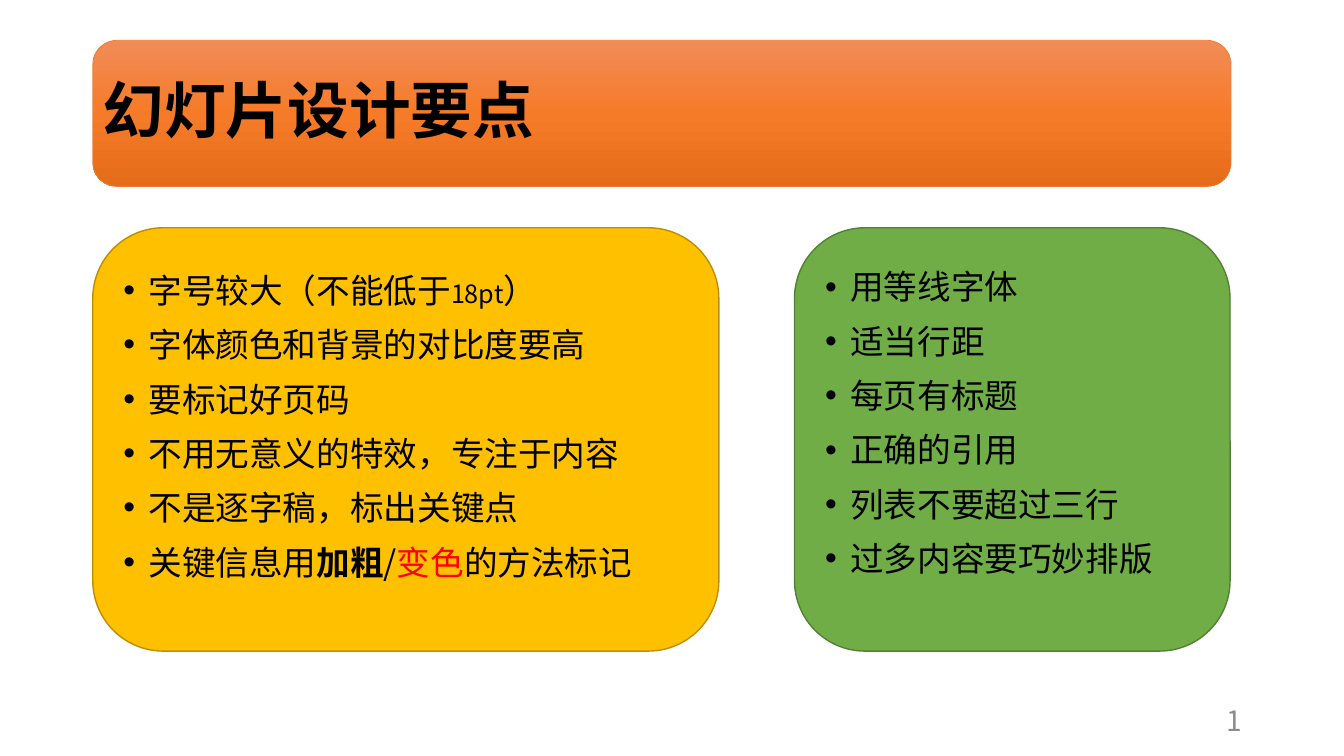
"""Build a slide of presentation design tips: a title banner and two bulleted cards."""
import copy
from dataclasses import dataclass

import pptx
import pptx.dml.color
import pptx.enum.shapes
import pptx.enum.text
import pptx.oxml
import pptx.oxml.ns
import pptx.util

Inches = pptx.util.Inches
Pt = pptx.util.Pt
Align = pptx.enum.text.PP_ALIGN
qn = pptx.oxml.ns.qn


@dataclass(frozen=True)
class Theme:
    font: str = "Noto Sans CJK SC"
    ink: str = "000000"
    accent: str = "FF0000"
    muted: str = "8C8C8C"
    banner: tuple = ("F18C57", "F67B28", "E56C19")
    banner_line: str = "ED7D31"
    amber: tuple = ("FFC000", "BD8E00")
    green: tuple = ("70AD47", "538035")
    title: int = 44
    body: int = 24
    small: int = 18
    number: int = 20
    body_line: float = 28.8
    body_gap: int = 10


def rgb(value):
    return pptx.dml.color.RGBColor.from_string(value)


def add_span(para, text, *, font, size, color, bold=False):
    span = para.add_run()
    span.text = text
    span.font.name = font
    span.font.size = Pt(size)
    span.font.bold = bold
    span.font.color.rgb = rgb(color)
    latin = span.font._element.find(qn("a:latin"))
    east_asian = pptx.oxml.parse_xml(f'<a:ea {pptx.oxml.ns.nsdecls("a")} typeface="{font}"/>')
    latin.addnext(east_asian)


class SlideBuilder:
    def __init__(self, theme, page):
        self.theme = theme
        self.page = page

    def panel(self, left, top, width, height, line, line_width):
        kind = pptx.enum.shapes.MSO_SHAPE.ROUNDED_RECTANGLE
        box = self.page.shapes.add_shape(
            kind, Inches(left), Inches(top), Inches(width), Inches(height))
        box.shadow.inherit = False
        box.line.color.rgb = rgb(line)
        box.line.width = Pt(line_width)
        return box

    def banner(self, left, top, width, height):
        box = self.panel(left, top, width, height, self.theme.banner_line, 0.5)
        box.fill.gradient()
        stops = box._element.spPr.find(qn("a:gradFill")).find(qn("a:gsLst"))
        stops.append(copy.deepcopy(stops[0]))
        box.fill.gradient_angle = 270
        for index, stop in enumerate(box.fill.gradient_stops):
            stop.color.rgb = rgb(self.theme.banner[index])
            stop.position = index / 2

    def label(self, text, left, top, width, height, *, size, color, align, bold=False, spacing=1.0):
        box = self.page.shapes.add_textbox(
            Inches(left), Inches(top), Inches(width), Inches(height))
        frame = box.text_frame
        frame.word_wrap = True
        frame.vertical_anchor = pptx.enum.text.MSO_ANCHOR.MIDDLE
        para = frame.paragraphs[0]
        para.alignment = align
        para.line_spacing = spacing
        add_span(para, text, font=self.theme.font, size=size, color=color, bold=bold)

    def card(self, rows, left, top, width, height, colors, bottom_inset):
        fill, line = colors
        box = self.panel(left, top, width, height, line, 1)
        box.fill.solid()
        box.fill.fore_color.rgb = rgb(fill)
        frame = box.text_frame
        frame.word_wrap = True
        frame.vertical_anchor = pptx.enum.text.MSO_ANCHOR.MIDDLE
        frame.margin_left = frame.margin_right = frame.margin_top = Inches(0.1)
        frame.margin_bottom = Inches(bottom_inset)
        for index, row in enumerate(rows):
            para = frame.add_paragraph() if index else frame.paragraphs[0]
            self.bullet(para, row)

    def bullet(self, para, row):
        para.alignment = Align.JUSTIFY
        para.line_spacing = Pt(self.theme.body_line)
        para.space_before = Pt(self.theme.body_gap)
        properties = para._p.get_or_add_pPr()
        properties.set("marL", str(Inches(0.25)))
        properties.set("indent", str(-Inches(0.25)))
        for tag in ('buFont typeface="Arial"', 'buChar char="•"'):
            properties.append(pptx.oxml.parse_xml(f'<a:{tag} {pptx.oxml.ns.nsdecls("a")}/>'))
        base = {"font": self.theme.font, "size": self.theme.body, "color": self.theme.ink}
        for text, changes in [(row, {})] if isinstance(row, str) else row:
            add_span(para, text, **{**base, **changes})


theme = Theme()
deck = pptx.Presentation()
deck.slide_width = Inches(13.33)
deck.slide_height = Inches(7.5)
builder = SlideBuilder(theme, deck.slides.add_slide(deck.slide_layouts[6]))

style_tips = [
    [("字号较大（不能低于", {}), ("18pt", {"size": theme.small}), ("）", {})],
    "字体颜色和背景的对比度要高",
    "要标记好页码",
    "不用无意义的特效，专注于内容",
    "不是逐字稿，标出关键点",
    [("关键信息用", {}), ("加粗", {"bold": True}), ("/", {}),
     ("变色", {"color": theme.accent}), ("的方法标记", {})],
]
layout_tips = ["用等线字体", "适当行距", "每页有标题", "正确的引用",
               "列表不要超过三行", "过多内容要巧妙排版"]

builder.banner(0.92, 0.4, 11.29, 1.45)
builder.card(style_tips, 0.92, 2.26, 6.21, 4.2, theme.amber, 0.37)
builder.label("幻灯片设计要点", 0.92, 0.4, 11.5, 1.45, size=theme.title, color=theme.ink,
              align=Align.LEFT, bold=True, spacing=0.9)
builder.card(layout_tips, 7.88, 2.26, 4.32, 4.2, theme.green, 0.44)
builder.label("1", 9.42, 6.95, 3, 0.4, size=theme.number, color=theme.muted, align=Align.RIGHT)
deck.save("out.pptx")
